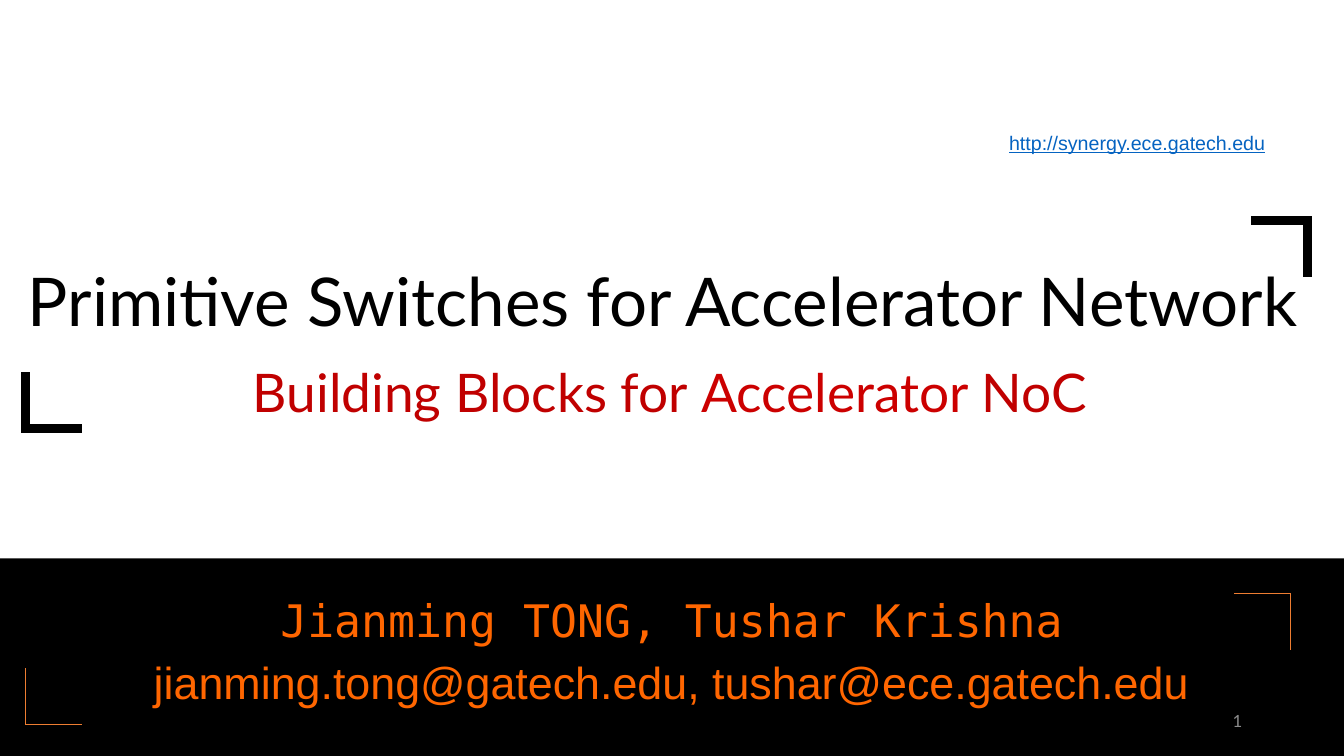
from dataclasses import dataclass

from lxml.etree import SubElement
from pptx import Presentation
from pptx.dml.color import RGBColor as RGB
from pptx.enum.shapes import MSO_SHAPE as Shape
from pptx.enum.text import MSO_ANCHOR as Anchor, PP_ALIGN as Align
from pptx.oxml.ns import qn
from pptx.util import Inches, Pt


@dataclass(frozen=True)
class Theme:
    """Colours, fonts and type sizes of the slide."""
    black: str = "000000"
    red: str = "C00000"
    bright_red: str = "CC0000"
    orange: str = "FF6600"
    corner_orange: str = "ED7D31"
    link: str = "0563C1"
    grey: str = "8C8C8C"
    sans: str = "Arial"
    mono: str = "DejaVu Sans Mono"
    heading: str = "Lato"
    title: int = 48
    subtitle: int = 38
    author: int = 32
    url: int = 14
    number: int = 12


THEME = Theme()
CORNER = 0.56


def style_run(r, size, font, color):
    """Set the size, font and colour of a run."""
    r.font.size = Pt(size)
    r.font.name = font
    r.font.color.rgb = RGB.from_string(color)


def add_text_frame(s, box, anchor=Anchor.TOP):
    """Add a wrapping text box and return its text frame."""
    tf = s.shapes.add_textbox(*map(Inches, box)).text_frame
    tf.word_wrap = True
    tf.vertical_anchor = anchor
    return tf


def add_label(s, box, text, size, font, color, align=Align.LEFT, anchor=Anchor.TOP):
    """Add a one-line label and return its run."""
    p = add_text_frame(s, box, anchor).paragraphs[0]
    p.text = text
    p.alignment = align
    style_run(p.runs[0], size, font, color)
    return p.runs[0]


def add_corner(s, points, color, width):
    """Draw an open corner through three points."""
    start, *rest = [(Inches(x), Inches(y)) for x, y in points]
    builder = s.shapes.build_freeform(*start)
    builder.add_line_segments(rest, close=False)
    sp = builder.convert_to_shape()
    sp.shadow.inherit = False
    sp.fill.background()
    sp.line.color.rgb = RGB.from_string(color)
    sp.line.width = Pt(width)
    SubElement(sp.line._get_or_add_ln(), qn("a:miter"), lim="800000")


def add_corner_pair(s, box, color, width):
    """Mark the top right and bottom left corners of a box."""
    x, y, w, h = box
    right, bottom = x + w, y + h
    add_corner(s, [(right - CORNER, y), (right, y), (right, y + CORNER)], color, width)
    add_corner(s, [(x + CORNER, bottom), (x, bottom), (x, bottom - CORNER)], color, width)


def add_title(s, box):
    """Place the title with its coloured second line."""
    p = add_text_frame(s, box, Anchor.MIDDLE).paragraphs[0]
    p.alignment = Align.CENTER
    p.line_spacing = 1.3
    title = p.add_run()
    title.text = "Primitive Switches for Accelerator Network"
    style_run(title, THEME.title, THEME.heading, THEME.black)
    p.add_line_break()
    for text, color in ((" Building Blocks for ", THEME.red),
                        ("Accelerator ", THEME.bright_red),
                        ("NoC", THEME.red)):
        r = p.add_run()
        r.text = text
        style_run(r, THEME.subtitle, THEME.heading, color)


def add_author_band(s, box):
    """Place the black band with the authors and their addresses."""
    x, y, w, h = box
    band = s.shapes.add_shape(Shape.RECTANGLE, *map(Inches, box))
    band.shadow.inherit = False
    band.fill.solid()
    band.fill.fore_color.rgb = RGB.from_string(THEME.black)
    band.line.fill.background()
    tf = add_text_frame(s, (x + 1.38, y + 0.35, w - 2.76, 1.3))
    lines = (("Jianming TONG, Tushar Krishna", THEME.mono),
             ("jianming.tong@gatech.edu, tushar@ece.gatech.edu", THEME.sans))
    tf.text = "\n".join(text for text, _ in lines)
    for p, (_, font) in zip(tf.paragraphs, lines):
        p.alignment = Align.CENTER
        p.line_spacing = 0.9
        p.space_before = Pt(10)
        style_run(p.runs[0], THEME.author, font, THEME.orange)
    add_label(s, (x + 9.42, y + 1.41, 3, 0.4), "1", THEME.number, THEME.heading,
              THEME.grey, Align.RIGHT, Anchor.MIDDLE)
    add_corner_pair(s, (x + 0.25, y + 0.35, 12.55, 1.3), THEME.corner_orange, 0.5)


def build_title_slide(prs):
    """Build the title slide."""
    s = prs.slides.add_slide(prs.slide_layouts[6])
    add_author_band(s, (0, 5.54, 13.33, 1.96))
    add_title(s, (-0.09, 2.29, 13.33, 1.95))
    add_corner_pair(s, (0.25, 2.19, 12.72, 2.06), THEME.black, 6.25)
    url = add_label(s, (9.91, 1.25, 2.9, 0.34), "http://synergy.ece.gatech.edu",
                    THEME.url, THEME.sans, THEME.link)
    url.font.underline = True


def main():
    """Create and save the presentation."""
    prs = Presentation()
    prs.slide_width, prs.slide_height = Inches(13.33), Inches(7.5)
    build_title_slide(prs)
    prs.save("out.pptx")


if __name__ == "__main__":
    main()
